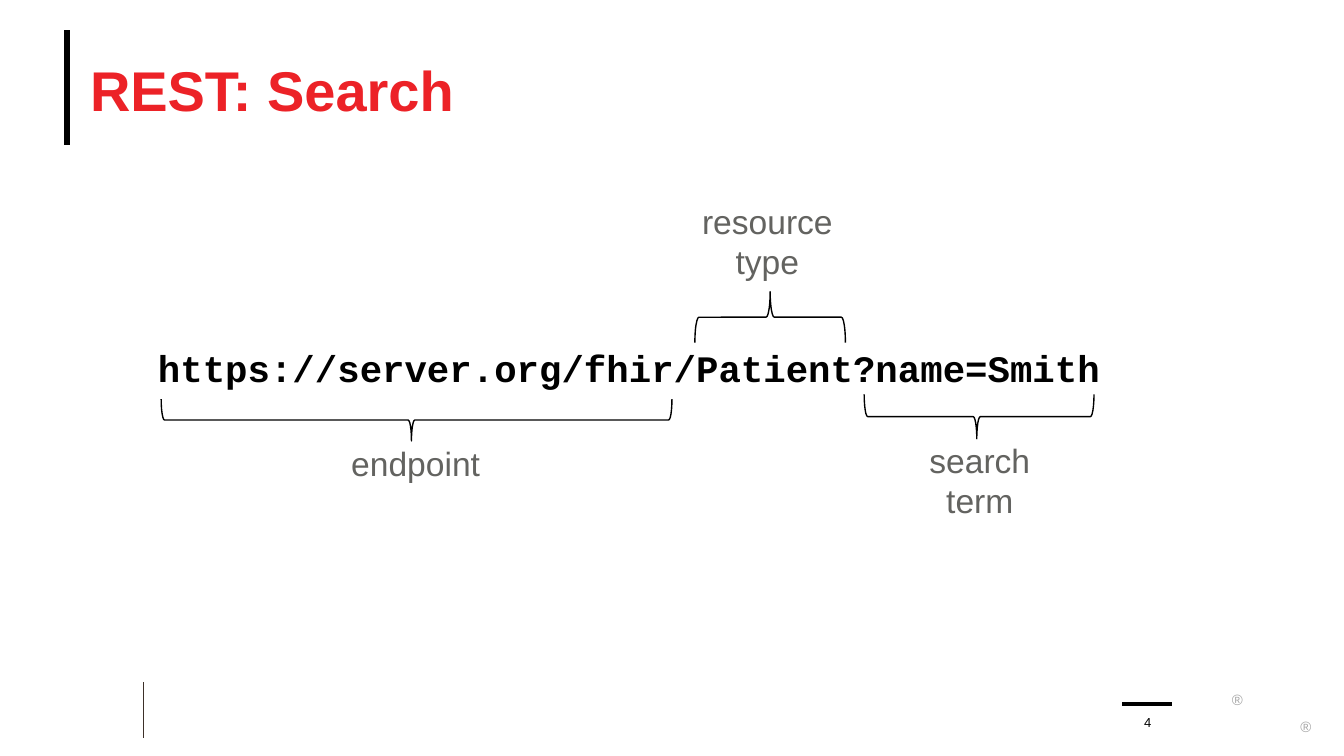
from lxml import etree
from pptx import Presentation
from pptx import util as u
from pptx.dml.color import RGBColor
from pptx.enum import shapes, text
from pptx.oxml.ns import qn

PX = 4572
COLORS = {
    "black": "000000",
    "brown": "3D3029",
    "red": "EC2227",
    "gray": "636360",
    "light": "A6A6A6",
}
ALIGN = text.PP_ALIGN
ANCHOR = text.MSO_ANCHOR


def px(*lengths):
    return [u.Emu(length * PX) for length in lengths]


class SlideBuilder:
    font = "Arial"

    def __init__(self, page):
        self.page = page

    def color(self, name):
        return RGBColor.from_string(COLORS[name])

    def line(self, x1, y1, x2, y2, width, color="black"):
        rule = self.page.shapes.add_connector(
            shapes.MSO_CONNECTOR.STRAIGHT, *px(x1, y1, x2, y2))
        rule.line.width = u.Pt(width)
        rule.line.color.rgb = self.color(color)
        etree.SubElement(rule._element.spPr, qn("a:effectLst"))

    def text(self, words, frame, size, color, font=None, bold=False,
             align=ALIGN.LEFT, anchor=ANCHOR.TOP, inset=(0, 0)):
        box = self.page.shapes.add_textbox(*px(*frame))
        body = box.text_frame
        body.word_wrap = True
        body.vertical_anchor = anchor
        body.margin_left = body.margin_right = px(inset[0])[0]
        body.margin_top = body.margin_bottom = px(inset[1])[0]
        para = body.paragraphs[0]
        para.alignment = align
        span = para.add_run()
        span.text = words
        span.font.name = font or self.font
        span.font.size = u.Pt(size)
        span.font.bold = bold
        span.font.color.rgb = self.color(color)

    def label(self, words, frame, align=ALIGN.CENTER):
        self.text(words, frame, 18, "gray", align=align, inset=(20, 10))

    def brace(self, frame, rotation, tip):
        brace = self.page.shapes.add_shape(
            shapes.MSO_SHAPE.LEFT_BRACE, *px(*frame))
        brace.rotation = rotation
        brace.adjustments[0] = 0.08
        brace.adjustments[1] = tip
        brace.shadow.inherit = False
        brace.fill.background()
        brace.line.width = u.Pt(0.75)
        brace.line.color.rgb = self.color("black")


def main():
    deck = Presentation()
    deck.slide_width, deck.slide_height = px(2000, 1125)
    slide = SlideBuilder(deck.slides.add_slide(deck.slide_layouts[6]))

    slide.line(100, 45, 100, 216, 3.25)
    slide.line(214, 1015, 214, 1099, 0.5, "brown")
    slide.line(1670, 1048, 1744, 1048, 2)
    for x, y in ((1833, 1020), (1935, 1060)):
        slide.text("®", (x, y, 22, 18), 8, "light", inset=(0, 10))

    slide.text("REST: Search", (134, 46, 1800, 172), 30, "red", bold=True,
               anchor=ANCHOR.MIDDLE)
    slide.text("https://server.org/fhir/Patient?name=Smith",
               (235, 514, 1699, 462), 20, "black", "Courier New", bold=True)
    slide.text("4", (1678, 1048, 60, 38), 7, "black",
               align=ALIGN.CENTER, anchor=ANCHOR.BOTTOM)

    slide.brace((589, 245, 62, 760), 270, 0.49)
    slide.label("endpoint", (503, 650, 246, 80), ALIGN.LEFT)
    slide.brace((1108, 360, 76, 224), 90, 0.5)
    slide.label("resource type", (1006, 289, 272, 142))
    slide.brace((1424, 449, 66, 342), 270, 0.49)
    slide.label("search term", (1330, 645, 256, 142))

    deck.save("out.pptx")


if __name__ == "__main__":
    main()
